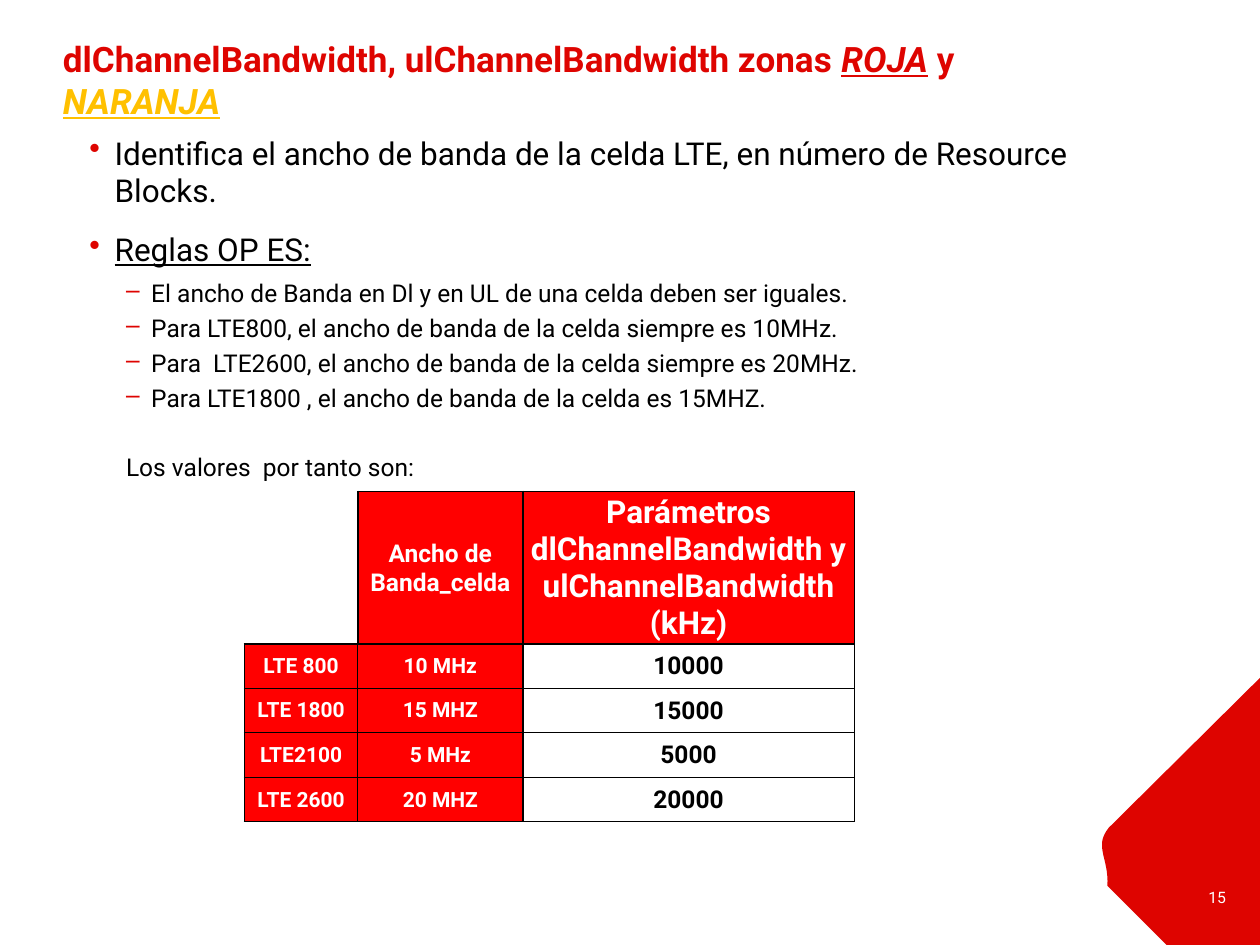
from lxml import etree
from pptx import Presentation
from pptx import util as u
from pptx.dml.color import RGBColor
from pptx.enum import text
from pptx.oxml import parse_xml
from pptx.oxml.ns import nsdecls, qn

FONT = "Roboto"
RED, TABLE_RED, ORANGE = "DE0400", "FF0000", "FFC000"
BLACK, WHITE = "000000", "FFFFFF"

TITLE = [
    ("dlChannelBandwidth, ulChannelBandwidth zonas ", RED, {}),
    ("ROJA", RED, {"italic": True, "underline": True}),
    (" y ", RED, {}),
    ("NARANJA", ORANGE, {"italic": True, "underline": True}),
]
MAIN_POINTS = [
    ("Identifica el ancho de banda de la celda LTE, en número de Resource Blocks.", {}),
    ("Reglas OP ES:", {"underline": True}),
]
RULES = [
    "El ancho de Banda en Dl y en UL de una celda deben ser iguales.",
    "Para LTE800, el ancho de banda de la celda siempre es 10MHz.",
    "Para  LTE2600, el ancho de banda de la celda siempre es 20MHz.",
    "Para LTE1800 , el ancho de banda de la celda es 15MHZ.",
]
CLOSING = "Los valores  por tanto son:"
ROWS = [
    ("", "Ancho de Banda_celda", "Parámetros dlChannelBandwidth y ulChannelBandwidth (kHz)"),
    ("LTE 800", "10 MHz", "10000"),
    ("LTE 1800", "15 MHZ", "15000"),
    ("LTE2100", "5 MHz", "5000"),
    ("LTE 2600", "20 MHZ", "20000"),
]
COL_WIDTHS = (0.9, 1.31, 2.63)
ROW_HEIGHTS = (1.19, 0.35, 0.35, 0.36, 0.35)


def rgb(value):
    return RGBColor.from_string(value)


def set_all(obj, **values):
    for name, value in values.items():
        setattr(obj, name, value)


def add_run(p, words, size, color, **fmt):
    r = p.add_run()
    r.text = words
    set_all(r.font, name=FONT, size=u.Pt(size), **fmt)
    r.font.color.rgb = rgb(color)


def add_text_box(slide, left, top, width, height, margins=(0, 0, 0, 0)):
    tf = slide.shapes.add_textbox(*map(u.Inches, (left, top, width, height))).text_frame
    sides = ("margin_left", "margin_top", "margin_right", "margin_bottom")
    set_all(tf, word_wrap=True, **dict(zip(sides, map(u.Inches, margins))))
    return tf


def set_bullet(p, char, left, hanging):
    pPr = p._p.get_or_add_pPr()
    pPr.set("marL", str(u.Inches(left)))
    pPr.set("indent", str(-u.Inches(hanging)))
    if char:
        color = etree.SubElement(pPr, qn("a:buClr"))
        etree.SubElement(color, qn("a:srgbClr"), val=RED)
        etree.SubElement(pPr, qn("a:buChar"), char=char)


def add_corner(slide):
    """Red corner whose rounded tip follows a cubic curve."""
    curve = [(8.79, 7.03), (8.8, 6.8), (8.68, 6.72), (8.8, 6.57)]
    steps = 16
    tip = []
    for i in range(steps + 1):
        t = i / steps
        weights = ((1 - t) ** 3, 3 * t * (1 - t) ** 2, 3 * t * t * (1 - t), t ** 3)
        tip.append([sum(w * pt[axis] for w, pt in zip(weights, curve)) for axis in (0, 1)])
    points = [(10, 5.38), (10, 7.5), (9.26, 7.5)] + tip
    points = [(u.Inches(x), u.Inches(y)) for x, y in points]
    builder = slide.shapes.build_freeform(*points[0])
    builder.add_line_segments(points[1:], close=True)
    sp = builder.convert_to_shape()
    sp.shadow.inherit = False
    sp.fill.solid()
    sp.fill.fore_color.rgb = rgb(RED)
    sp.line.fill.background()


def add_title(slide):
    p = add_text_box(slide, 0.5, 0.3, 8.04, 1.14).paragraphs[0]
    for words, color, fmt in TITLE:
        add_run(p, words, 20, color, bold=True, **fmt)


def add_body(slide):
    tf = add_text_box(slide, 0.71, 1.06, 8.65, 5.35, (0, 0, 0.08, 0))
    # words, format, size, bullet, left, hanging, level, space before, space after
    items = [(words, fmt, 18, "•", 0.2, 0.2, 0, 6, 6) for words, fmt in MAIN_POINTS]
    items += [(words, {}, 14, "–", 0.49, 0.2, 1, 0, 3) for words in RULES]
    items.append((CLOSING, {}, 14, None, 0.29, 0, 1, 20, 3))
    for i, (words, fmt, size, char, left, hanging, level, before, after) in enumerate(items):
        p = tf.add_paragraph() if i else tf.paragraphs[0]
        set_all(p, level=level, space_before=u.Pt(before), space_after=u.Pt(after))
        set_bullet(p, char, left, hanging)
        add_run(p, words, size, BLACK, **fmt)


def add_page_number(slide):
    tf = add_text_box(slide, 8.67, 6.92, 1.06, 0.4, (0.1, 0.05, 0, 0.05))
    tf.vertical_anchor = text.MSO_ANCHOR.MIDDLE
    p = tf.paragraphs[0]
    p.alignment = text.PP_ALIGN.RIGHT
    add_run(p, "15", 9, WHITE)


def set_borders(cell, widths):
    """Draw the left, right, top and bottom lines; a width of 0 means no line."""
    tcPr = cell._tc.get_or_add_tcPr()
    for i, (side, width) in enumerate(zip("LRTB", widths)):
        fill = f'<a:solidFill><a:srgbClr val="{BLACK}"/></a:solidFill>' if width else "<a:noFill/>"
        tcPr.insert(i, parse_xml(
            f'<a:ln{side} {nsdecls("a")} w="{u.Pt(width)}">{fill}</a:ln{side}>'))


def cell_borders(row, col):
    """Thin lines between body rows and after the row labels, 1 pt elsewhere."""
    if row == col == 0:
        return 0, 1, 0, 1
    body = row > 0
    return (0.5 if body and col == 1 else 1,
            0.5 if body and col == 0 else 1,
            0.5 if row > 1 else 1,
            0.5 if body and row < len(ROWS) - 1 else 1)


def cell_style(row, col):
    """Text size, text colour and fill."""
    if row == 0:
        return (14, 14, 18)[col], WHITE, TABLE_RED if col else WHITE
    return (14, BLACK, WHITE) if col == 2 else (12, WHITE, TABLE_RED)


def add_bandwidth_table(slide):
    box = map(u.Inches, (1.94, 3.9, sum(COL_WIDTHS), sum(ROW_HEIGHTS)))
    table = slide.shapes.add_table(len(ROWS), len(COL_WIDTHS), *box).table
    set_all(table, first_row=False, horz_banding=False)
    for column, width in zip(table.columns, COL_WIDTHS):
        column.width = u.Inches(width)
    for r, (values, height) in enumerate(zip(ROWS, ROW_HEIGHTS)):
        table.rows[r].height = u.Inches(height)
        for c, words in enumerate(values):
            cell = table.cell(r, c)
            size, color, fill = cell_style(r, c)
            edge = u.Inches(0.01)
            set_all(cell, margin_left=edge, margin_top=edge, margin_right=edge,
                    margin_bottom=0, vertical_anchor=text.MSO_ANCHOR.MIDDLE)
            cell.fill.solid()
            cell.fill.fore_color.rgb = rgb(fill)
            set_borders(cell, cell_borders(r, c))
            if words:
                p = cell.text_frame.paragraphs[0]
                p.alignment = text.PP_ALIGN.CENTER
                add_run(p, words, size, color, bold=True)


def main():
    prs = Presentation()
    set_all(prs, slide_width=u.Inches(10), slide_height=u.Inches(7.5))
    slide = prs.slides.add_slide(prs.slide_layouts[6])
    add_corner(slide)
    add_title(slide)
    add_body(slide)
    add_page_number(slide)
    add_bandwidth_table(slide)
    prs.save("out.pptx")


if __name__ == "__main__":
    main()
